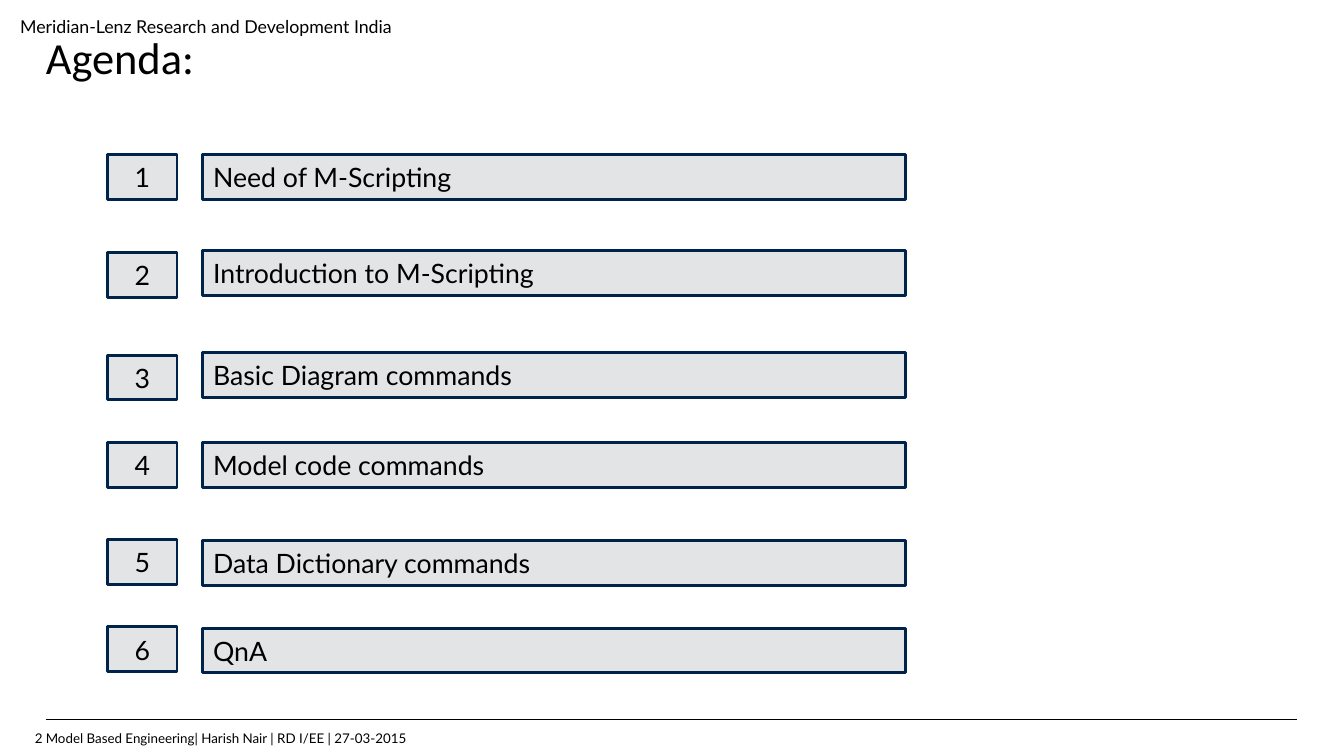
from pptx import Presentation
from pptx.dml.color import RGBColor
from pptx.enum.shapes import MSO_CONNECTOR, MSO_SHAPE
from pptx.enum.text import MSO_ANCHOR, PP_ALIGN
from pptx.oxml.ns import qn
from pptx.util import Inches, Pt
from lxml import etree

# Content
HEADER = "Meridian-Lenz Research and Development India"
TITLE = "Agenda:"
FOOTER = "Model Based Engineering| Harish Nair | RD I/EE | 27-03-2015"
PAGE = "2"
AGENDA = [  # topic, top of number box, top of topic box
    ("Need of M-Scripting", 1.45, 1.45),
    ("Introduction to M-Scripting", 2.37, 2.35),
    ("Basic Diagram commands", 3.33, 3.31),
    ("Model code commands", 4.15, 4.15),
    ("Data Dictionary commands", 5.06, 5.07),
    ("QnA", 5.88, 5.89),
]

# Layout, in inches
WIDTH, HEIGHT = 12.6, 7.09
MARGIN = 0.43
RULE_Y = 6.75
FOOT_H = HEIGHT - RULE_Y
NUMBER_X, NUMBER_W = 1.01, 0.65
TOPIC_X, TOPIC_W = 1.9, 6.59
BOX_H = 0.42
BLACK, NAVY, GREY = "000000", "002349", "E2E4E6"
PADDED = (0.1, 0.05, 0.1, 0.05)
FOOT_PAD = (0, 0.01, 0, 0)
LEFT, CENTER, RIGHT = PP_ALIGN.LEFT, PP_ALIGN.CENTER, PP_ALIGN.RIGHT


def color(value):
    return RGBColor.from_string(value)


def write(s, text, size, font="Lato", align=LEFT, anchor=MSO_ANCHOR.MIDDLE,
          pad=PADDED, wrap=True):
    tf = s.text_frame
    frame = dict(zip(("margin_left", "margin_top", "margin_right", "margin_bottom"),
                     map(Inches, pad)), word_wrap=wrap, vertical_anchor=anchor)
    for name, value in frame.items():
        setattr(tf, name, value)
    p = tf.paragraphs[0]
    p.alignment = align
    r = p.add_run()
    r.text = text
    for name, value in {"name": font, "size": Pt(size), "bold": False}.items():
        setattr(r.font, name, value)
    r.font.color.rgb = color(BLACK)


def add_text(at, text, size, **style):
    write(slide.shapes.add_textbox(*map(Inches, at)), text, size, **style)


def add_box(at, text, align):
    s = slide.shapes.add_shape(MSO_SHAPE.RECTANGLE, *map(Inches, at))
    s.shadow.inherit = False
    s.fill.solid()
    s.fill.fore_color.rgb = color(GREY)
    s.line.color.rgb = color(NAVY)
    s.line.width = Pt(2)
    write(s, text, 18, align=align)


prs = Presentation()
prs.slide_width, prs.slide_height = Inches(WIDTH), Inches(HEIGHT)
slide = prs.slides.add_slide(prs.slide_layouts[5])

# Title
title = slide.shapes.title
title.left, title.top, title.width, title.height = map(
    Inches, (MARGIN, 0.28, 11.63, 0.56))
write(title, TITLE, 30, font="Calibri", anchor=MSO_ANCHOR.TOP, pad=(0, 0, 0, 0))

# Header, footer rule and footer
add_text((0.09, 0.1, 4.04, 0.3), HEADER, 12, anchor=MSO_ANCHOR.TOP, wrap=False)
rule = slide.shapes.add_connector(MSO_CONNECTOR.STRAIGHT, *map(
    Inches, (MARGIN, RULE_Y, 12.16, RULE_Y)))
rule.line.color.rgb = color(BLACK)
rule.line.width = Pt(0.5)
etree.SubElement(rule._element.spPr, qn("a:effectLst"))
add_text((MARGIN, RULE_Y, 6.14, FOOT_H), FOOTER, 9, pad=FOOT_PAD)
add_text((0.12, RULE_Y, 0.28, FOOT_H), PAGE, 9, align=RIGHT, pad=FOOT_PAD)

# Agenda rows
for number, (topic, number_y, topic_y) in enumerate(AGENDA, 1):
    add_box((NUMBER_X, number_y, NUMBER_W, BOX_H), str(number), CENTER)
    add_box((TOPIC_X, topic_y, TOPIC_W, BOX_H), topic, LEFT)

prs.save("out.pptx")
